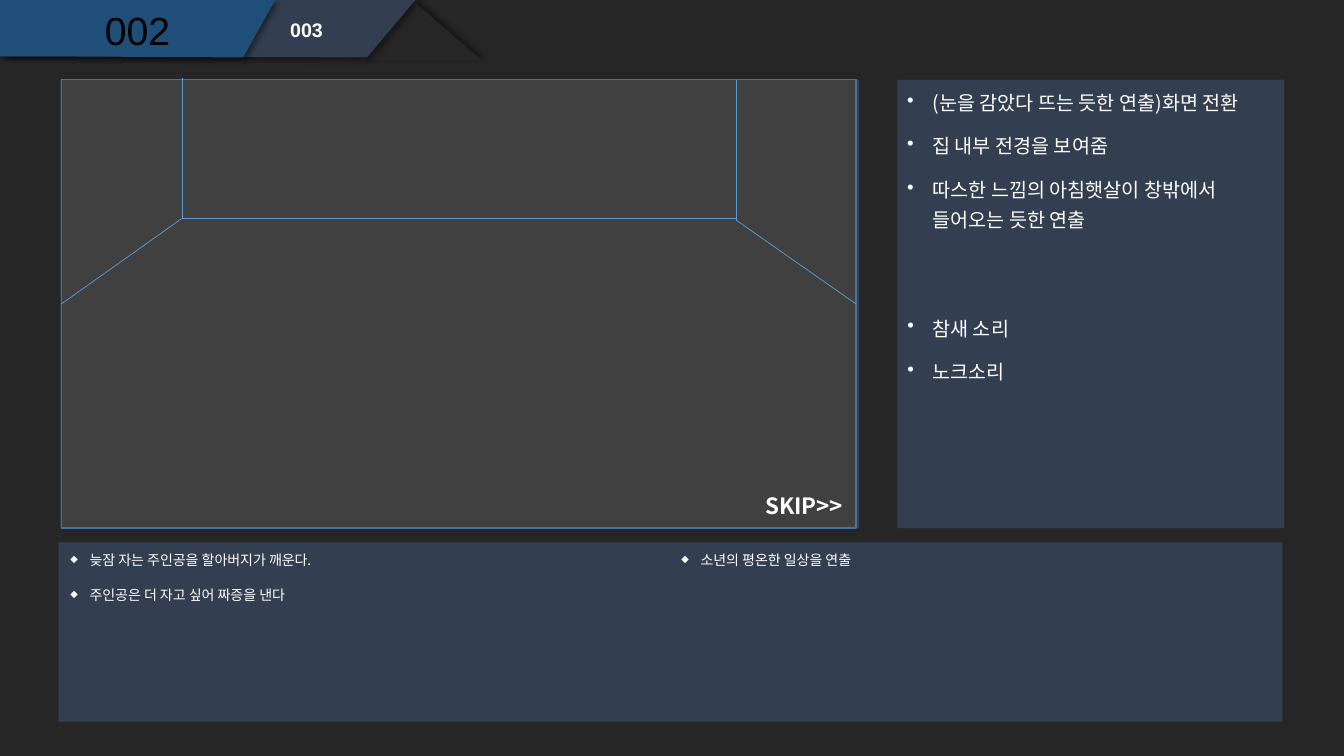
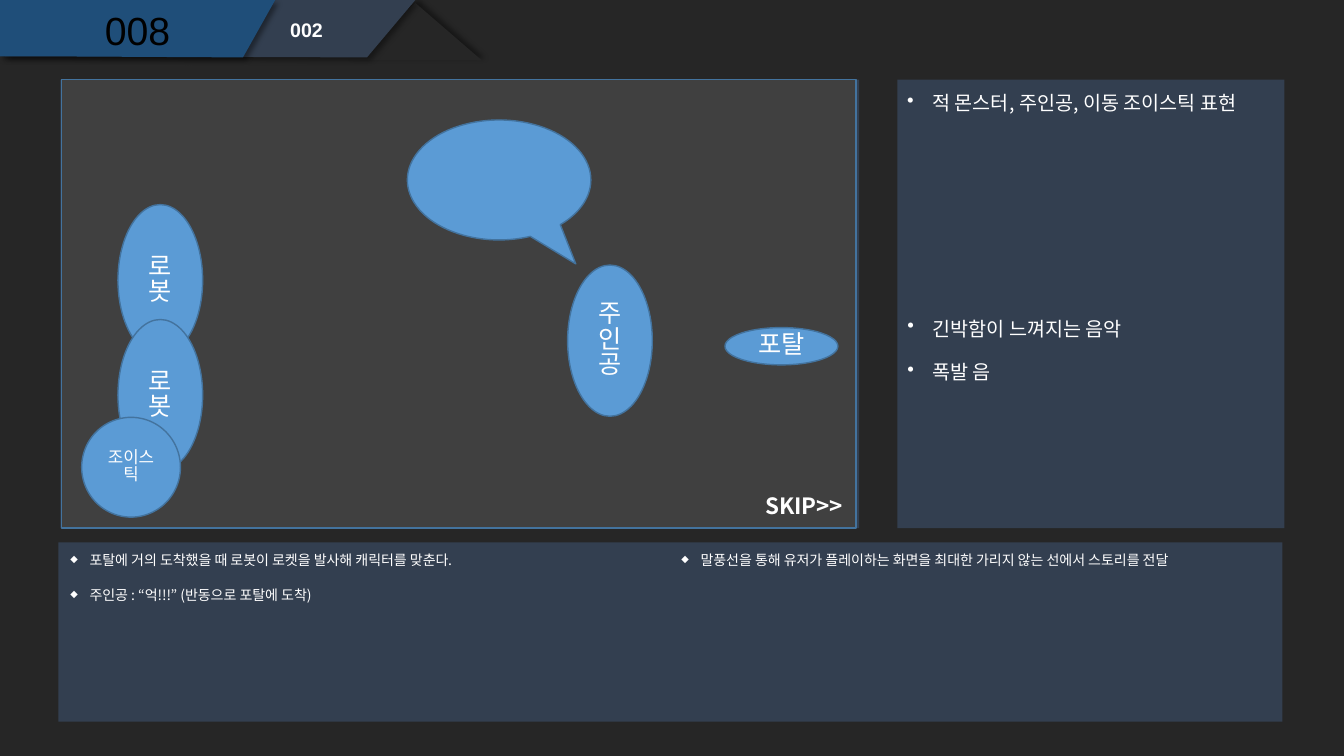
"""Build two storyboard pages that share one header and panel arrangement."""
from dataclasses import dataclass
from typing import Any, Optional

from lxml.etree import SubElement
from pptx import Presentation
from pptx.dml.color import RGBColor
from pptx.enum.shapes import MSO_CONNECTOR, MSO_SHAPE
from pptx.enum.text import MSO_ANCHOR, MSO_AUTO_SIZE, PP_ALIGN
from pptx.oxml.ns import qn
from pptx.util import Emu, Pt

SCALE = 9144
BACKDROP = RGBColor(0x26, 0x26, 0x26)
PANEL = RGBColor(0x33, 0x3F, 0x50)
TAB = RGBColor(0x1F, 0x4E, 0x79)
SCREEN = RGBColor(0x40, 0x40, 0x40)
ACCENT = RGBColor(0x5B, 0x9B, 0xD5)
OUTLINE = RGBColor(0x43, 0x73, 0x9E)
WHITE = RGBColor(0xFF, 0xFF, 0xFF)
BLACK = RGBColor(0x00, 0x00, 0x00)
LATIN = "Arial"
KOREAN = "Noto Sans CJK KR"


@dataclass(frozen=True)
class Area:
    """Left, top, width and height in px."""
    left: int
    top: int
    width: int
    height: int

    def lengths(self) -> tuple[Emu, ...]:
        """Return the four lengths in EMU."""
        return tuple(px(n) for n in (self.left, self.top, self.width, self.height))


@dataclass(frozen=True)
class TextStyle:
    """Character and paragraph format."""
    size: int
    font: str = KOREAN
    color: RGBColor = WHITE
    bold: bool = False
    align: PP_ALIGN = PP_ALIGN.LEFT
    spacing: float = 0.84
    before: int = 0
    bullet: str = ""
    bullet_percent: int = 100
    indent: int = 0


@dataclass(frozen=True)
class Actor:
    """A labelled shape on the screen."""
    area: Area
    label: str = ""
    size: int = 18
    preset: MSO_SHAPE = MSO_SHAPE.OVAL
    adjustments: tuple[float, ...] = ()


@dataclass(frozen=True)
class Edge:
    """A room line; side is the screen side where it starts."""
    start: tuple[int, int]
    end: tuple[int, int]
    side: Optional[int] = None


@dataclass(frozen=True)
class Scene:
    """Everything that differs between pages."""
    number: str
    cut: str
    direction: tuple[str, ...]
    sound: tuple[str, ...]
    story: tuple[str, ...]
    intent: tuple[str, ...]
    edges: tuple[Edge, ...] = ()
    actors: tuple[Actor, ...] = ()


TITLE = TextStyle(28, LATIN, BLACK, align=PP_ALIGN.CENTER, spacing=0.9)
CUT = TextStyle(14, LATIN, bold=True, spacing=0.9)
SKIP = TextStyle(16, bold=True)
CUE = TextStyle(14, spacing=1.26, before=10, bullet="•", indent=25)
NOTE = TextStyle(10, spacing=1.26, before=10, bullet="◆", bullet_percent=70, indent=19)

TITLE_AREA = Area(61, 6, 151, 53)
CUT_AREA = Area(278, 15, 100, 32)
SCREEN_AREA = Area(61, 79, 788, 445)
SKIP_AREA = Area(749, 488, 100, 37)
PANELS = (Area(60, 79, 792, 445), Area(890, 79, 384, 445), Area(58, 538, 1214, 178))
DIRECTION_AREA = Area(890, 79, 384, 221)
SOUND_AREA = Area(890, 303, 385, 221)
STORY_AREA = Area(60, 538, 606, 178)
INTENT_AREA = Area(666, 538, 606, 178)
FOLD = Area(346, 3, 132, 57)
TABS = (
    (PANEL, ((5, 0), (412, 0), (364, 57), (90, 56), (5, 56))),
    (TAB, ((0, 0), (273, 0), (241, 57), (57, 56), (0, 56))),
)

SCENES = (
    Scene(
        "002", "003",
        ("(눈을 감았다 뜨는 듯한 연출)화면 전환", "집 내부 전경을 보여줌",
         "따스한 느낌의 아침햇살이 창밖에서 들어오는 듯한 연출"),
        ("참새 소리", "노크소리"),
        ("늦잠 자는 주인공을 할아버지가 깨운다.", "주인공은 더 자고 싶어 짜증을 낸다"),
        ("소년의 평온한 일상을 연출",),
        edges=(
            Edge((61, 302), (180, 217), 1),
            Edge((181, 217), (181, 77)),
            Edge((181, 217), (731, 217)),
            Edge((849, 302), (731, 219), 3),
            Edge((730, 219), (730, 79)),
        ),
    ),
    Scene(
        "008", "002",
        ("적 몬스터, 주인공, 이동 조이스틱 표현",),
        ("긴박함이 느껴지는 음악", "폭발 음"),
        ("포탈에 거의 도착했을 때 로봇이 로켓을 발사해 캐릭터를 맞춘다.",
         "주인공 : “억!!!” (반동으로 포탈에 도착)"),
        ("말풍선을 통해 유저가 플레이하는 화면을 최대한 가리지 않는 선에서 스토리를 전달",),
        actors=(
            Actor(Area(563, 263, 84, 150), "주인공"),
            Actor(Area(117, 203, 84, 150), "로봇"),
            Actor(Area(117, 317, 84, 150), "로봇"),
            Actor(Area(81, 414, 98, 99), "조이스틱", 12),
            Actor(Area(719, 325, 112, 37), "포탈"),
            Actor(Area(404, 119, 182, 119), preset=MSO_SHAPE.OVAL_CALLOUT,
                  adjustments=(0.418, 0.7)),
        ),
    ),
)


def px(length: int) -> Emu:
    """Turn px into EMU."""
    return Emu(length * SCALE)


def set_values(target: Any, values: dict[str, Any]) -> None:
    """Set each named attribute of the target."""
    for name, value in values.items():
        setattr(target, name, value)


def add_bullet(para: Any, style: TextStyle) -> None:
    """Give a paragraph a hanging bullet."""
    properties = para._p.get_or_add_pPr()
    properties.set("marL", str(px(style.indent)))
    properties.set("indent", str(-px(style.indent)))
    SubElement(properties, qn("a:buSzPct"), val=str(style.bullet_percent * 1000))
    SubElement(properties, qn("a:buChar"), char=style.bullet)


def write(box: Any, lines: tuple[str, ...], style: TextStyle, **frame_values: Any) -> None:
    """Fill a shape with styled paragraphs."""
    frame = box.text_frame
    set_values(frame, {"word_wrap": True, **frame_values})
    for index, line in enumerate(lines):
        para = frame.add_paragraph() if index else frame.paragraphs[0]
        if style.bullet:
            add_bullet(para, style)
        set_values(para, {"alignment": style.align, "line_spacing": style.spacing,
                          "space_before": Pt(style.before if index else 0)})
        span = para.add_run()
        span.text = line
        set_values(span.font, {"size": Pt(style.size), "bold": style.bold, "name": style.font})
        span.font.color.rgb = style.color
        SubElement(span._r.get_or_add_rPr(), qn("a:ea"), typeface=style.font)


def add_text(page: Any, area: Area, lines: tuple[str, ...], style: TextStyle,
             **frame_values: Any) -> None:
    """Add a text box."""
    write(page.shapes.add_textbox(*area.lengths()), lines, style, **frame_values)


def paint(shape: Any, fill: RGBColor, outline: Optional[RGBColor] = None) -> None:
    """Set fill and outline and clear the shadow."""
    shape.fill.solid()
    shape.fill.fore_color.rgb = fill
    if outline is None:
        shape.line.fill.background()
    else:
        shape.line.color.rgb = outline
        shape.line.width = Pt(1)
    shape.shadow.inherit = False


def cast_shadow(shape: Any, degrees: int) -> None:
    """Add a soft outer shadow to a painted shape."""
    effects = shape.element.spPr.find(qn("a:effectLst"))
    shadow = SubElement(effects, qn("a:outerShdw"), blurRad=str(Pt(4)), dist=str(Pt(3)),
                        dir=str(degrees * 60000), algn="ctr", rotWithShape="0")
    color = SubElement(shadow, qn("a:srgbClr"), val=str(BLACK))
    SubElement(color, qn("a:alpha"), val="40000")


def add_shape(page: Any, preset: MSO_SHAPE, area: Area, fill: RGBColor,
              outline: Optional[RGBColor] = None) -> Any:
    """Add a painted preset shape."""
    shape = page.shapes.add_shape(preset, *area.lengths())
    paint(shape, fill, outline)
    return shape


def add_header(page: Any, scene: Scene) -> None:
    """Draw the header tabs, scene number and cut number."""
    cast_shadow(add_shape(page, MSO_SHAPE.ISOSCELES_TRIANGLE, FOLD, BACKDROP), 315)
    for color, points in TABS:
        builder = page.shapes.build_freeform(*points[0], scale=SCALE)
        builder.add_line_segments(points[1:], close=True)
        tab = builder.convert_to_shape()
        paint(tab, color)
        cast_shadow(tab, 45)
    title = page.shapes.title
    title.element.getparent().append(title.element)
    set_values(title, dict(zip(("left", "top", "width", "height"), TITLE_AREA.lengths())))
    write(title, (scene.number,), TITLE, vertical_anchor=MSO_ANCHOR.MIDDLE,
          auto_size=MSO_AUTO_SIZE.SHAPE_TO_FIT_TEXT)
    add_text(page, CUT_AREA, (scene.cut,), CUT)


def add_edge(page: Any, edge: Edge, screen: Any) -> None:
    """Draw a room line, joined to the screen where it has a side."""
    ends = (px(n) for n in edge.start + edge.end)
    line = page.shapes.add_connector(MSO_CONNECTOR.STRAIGHT, *ends)
    if edge.side is not None:
        line.begin_connect(screen, edge.side)
    line.line.color.rgb = ACCENT
    line.line.width = Pt(0.5)
    SubElement(line.element.spPr, qn("a:effectLst"))


def add_actor(page: Any, actor: Actor) -> None:
    """Draw an actor and its label."""
    shape = add_shape(page, actor.preset, actor.area, ACCENT, OUTLINE)
    for index, value in enumerate(actor.adjustments):
        shape.adjustments[index] = value
    if actor.label:
        write(shape, (actor.label,), TextStyle(actor.size, align=PP_ALIGN.CENTER),
              vertical_anchor=MSO_ANCHOR.MIDDLE)


def add_scene(deck: Any, scene: Scene) -> None:
    """Add one storyboard page."""
    page = deck.slides.add_slide(deck.slide_layouts.get_by_name("Title Only"))
    for area in PANELS:
        add_shape(page, MSO_SHAPE.RECTANGLE, area, PANEL)
    add_header(page, scene)
    for area, lines, style in (
        (SOUND_AREA, scene.sound, CUE),
        (DIRECTION_AREA, scene.direction, CUE),
        (STORY_AREA, scene.story, NOTE),
        (INTENT_AREA, scene.intent, NOTE),
    ):
        add_text(page, area, lines, style)
    screen = add_shape(page, MSO_SHAPE.RECTANGLE, SCREEN_AREA, SCREEN, OUTLINE)
    add_text(page, SKIP_AREA, ("SKIP>>",), SKIP, word_wrap=False,
             auto_size=MSO_AUTO_SIZE.SHAPE_TO_FIT_TEXT)
    for edge in scene.edges:
        add_edge(page, edge, screen)
    for actor in scene.actors:
        add_actor(page, actor)


def main() -> None:
    """Build and save the deck."""
    deck = Presentation()
    set_values(deck, {"slide_width": px(1333), "slide_height": px(750)})
    background = deck.slide_master.background.fill
    background.solid()
    background.fore_color.rgb = BACKDROP
    for scene in SCENES:
        add_scene(deck, scene)
    deck.save("out.pptx")


if __name__ == "__main__":
    main()
